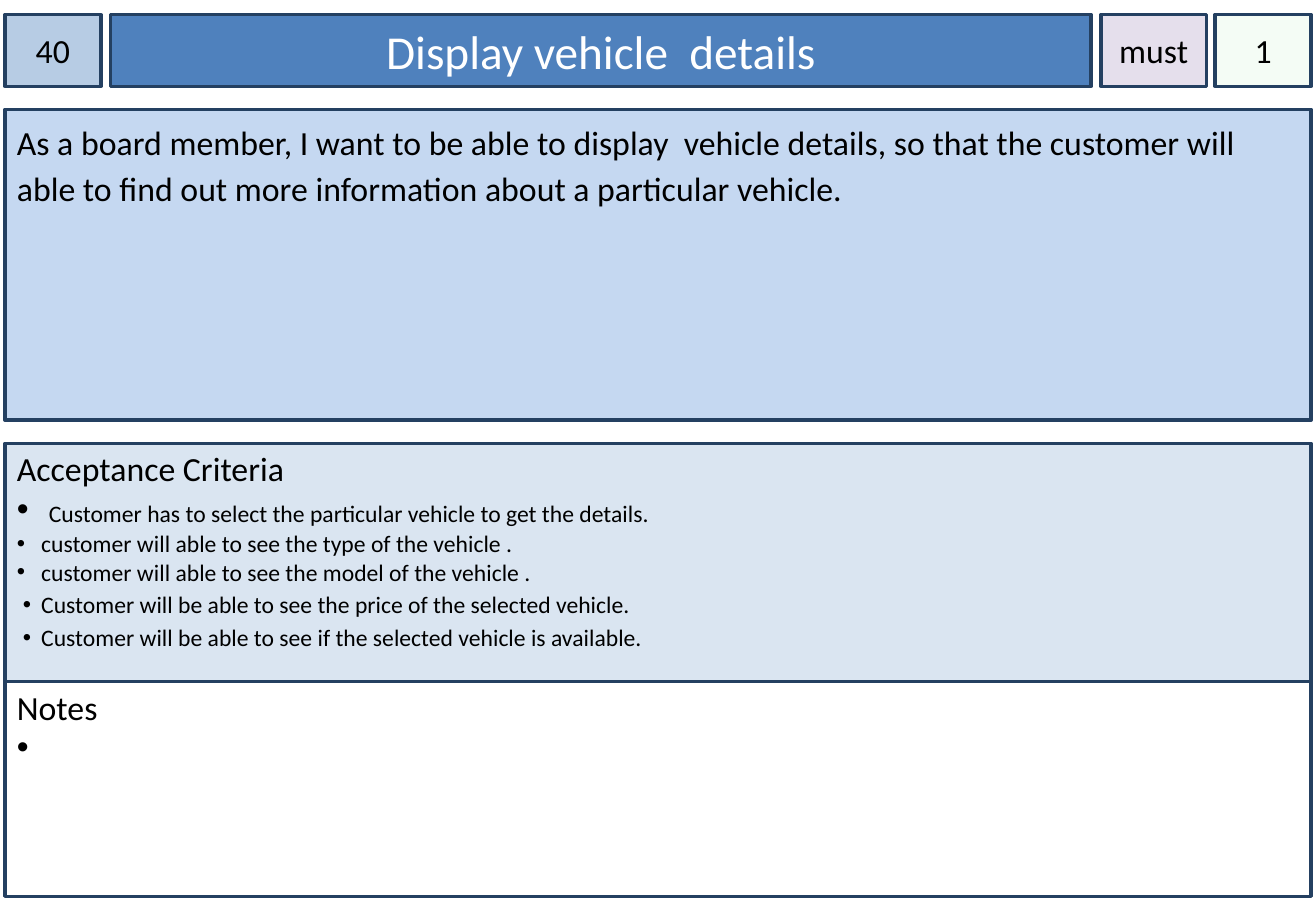
from dataclasses import dataclass
from typing import Optional

from lxml.etree import SubElement
from pptx import Presentation
from pptx.dml.color import RGBColor
from pptx.enum.shapes import MSO_SHAPE
from pptx.enum.text import MSO_ANCHOR, PP_ALIGN
from pptx.oxml.ns import qn
from pptx.util import Inches, Pt

FONT = "Calibri"
BLACK = RGBColor(0x00, 0x00, 0x00)
WHITE = RGBColor(0xFF, 0xFF, 0xFF)
NAVY = RGBColor(0x24, 0x40, 0x61)
ID_BLUE = RGBColor(0xB7, 0xCC, 0xE4)
TITLE_BLUE = RGBColor(0x4F, 0x81, 0xBD)
STORY_BLUE = RGBColor(0xC5, 0xD8, 0xF1)
CRITERIA_BLUE = RGBColor(0xDA, 0xE5, 0xF1)
PRIORITY_LILAC = RGBColor(0xE5, 0xDF, 0xEC)
ESTIMATE_GREEN = RGBColor(0xCC, 0xF0, 0xCD)

LEFT, FULL_WIDTH = 0.04, 10.75
HEADER_TOP, HEADER_HEIGHT = 0.12, 0.59
BULLET_INDENT = 0.2


@dataclass(frozen=True)
class Span:
    text: str
    size: int = 20
    color: RGBColor = BLACK


@dataclass(frozen=True)
class Para:
    spans: tuple[Span, ...]
    spacing: Optional[float] = None
    hanging: float = 0.0


@dataclass(frozen=True)
class Box:
    left: float
    top: float
    width: float
    height: float
    fill: RGBColor
    paras: tuple[Para, ...]
    centred: bool = False
    side_inset: float = 0.1
    top_inset: float = 0.05
    opacity: Optional[int] = None


def header_box(left: float, width: float, fill: RGBColor, span: Span,
               side_inset: float = 0.0, opacity: Optional[int] = None) -> Box:
    return Box(left, HEADER_TOP, width, HEADER_HEIGHT, fill, (Para((span,)),),
               centred=True, side_inset=side_inset, opacity=opacity)


def panel(top: float, height: float, fill: RGBColor, *paras: Para, top_inset: float = 0.04) -> Box:
    return Box(LEFT, top, FULL_WIDTH, height, fill, paras, top_inset=top_inset)


def bullet(*spans: Span, hanging: float = BULLET_INDENT, spacing: Optional[float] = None) -> Para:
    return Para(spans, spacing, hanging)


def criterion(text: str) -> Para:
    return bullet(Span(text, 14))


def spaced_criterion(text: str) -> Para:
    return bullet(Span(text, 14), hanging=0.15, spacing=1.15)


STORY = ("As a board member, I want to be able to display  vehicle details, so that the customer "
         "will able to find out more information about a particular vehicle.")

BOXES = (
    header_box(LEFT, 0.79, ID_BLUE, Span("40")),
    header_box(0.91, 8.07, TITLE_BLUE, Span("Display vehicle  details", 28, WHITE), side_inset=0.1),
    panel(0.9, 2.56, STORY_BLUE, Para((Span(STORY),), spacing=1.15), top_inset=0.05),
    panel(
        3.65, 2.01, CRITERIA_BLUE,
        Para((Span("Acceptance Criteria"),)),
        bullet(Span(" "),
               Span("Customer has to select the particular vehicle to get the details.", 14)),
        criterion("customer will able to see the type of the vehicle ."),
        criterion("customer will able to see the model of the vehicle ."),
        spaced_criterion("Customer will be able to see the price of the selected vehicle."),
        spaced_criterion("Customer will be able to see if the selected vehicle is available."),
    ),
    header_box(10, 0.79, ESTIMATE_GREEN, Span("1"), opacity=20),
    header_box(9.06, 0.87, PRIORITY_LILAC, Span("must")),
    panel(5.61, 1.77, WHITE, Para((Span("Notes"),)), bullet(Span(" "))),
)


def add_bullet(paragraph, hanging: float) -> None:
    properties = paragraph._p.get_or_add_pPr()
    properties.set("marL", str(Inches(BULLET_INDENT)))
    properties.set("indent", str(-Inches(hanging)))
    color = SubElement(properties, qn("a:buClr"))
    SubElement(color, qn("a:srgbClr"), val=str(BLACK))
    SubElement(properties, qn("a:buFont"), typeface="Arial")
    SubElement(properties, qn("a:buChar"), char="•")


def fill_paragraph(paragraph, para: Para, centred: bool) -> None:
    paragraph.alignment = PP_ALIGN.CENTER if centred else PP_ALIGN.LEFT
    if para.spacing:
        paragraph.line_spacing = para.spacing
    if para.hanging:
        add_bullet(paragraph, para.hanging)
    for span in para.spans:
        run = paragraph.add_run()
        run.text = span.text
        run.font.name = FONT
        run.font.size = Pt(span.size)
        run.font.color.rgb = span.color


def draw_box(page, box: Box) -> None:
    shape = page.shapes.add_shape(MSO_SHAPE.RECTANGLE, Inches(box.left), Inches(box.top),
                                  Inches(box.width), Inches(box.height))
    shape.shadow.inherit = False
    shape.fill.solid()
    shape.fill.fore_color.rgb = box.fill
    if box.opacity is not None:
        color = shape._element.spPr.find(qn("a:solidFill")).find(qn("a:srgbClr"))
        SubElement(color, qn("a:alpha"), val=str(box.opacity * 1000))
    shape.line.color.rgb = NAVY
    shape.line.width = Pt(2)

    frame = shape.text_frame
    frame.word_wrap = True
    frame.vertical_anchor = MSO_ANCHOR.MIDDLE if box.centred else MSO_ANCHOR.TOP
    frame.margin_left = frame.margin_right = Inches(box.side_inset)
    frame.margin_top = Inches(box.top_inset)
    frame.margin_bottom = Inches(0.05)
    for index, para in enumerate(box.paras):
        paragraph = frame.add_paragraph() if index else frame.paragraphs[0]
        fill_paragraph(paragraph, para, box.centred)


def main() -> None:
    deck = Presentation()
    deck.slide_width = Inches(10.83)
    deck.slide_height = Inches(7.5)
    page = deck.slides.add_slide(deck.slide_layouts[6])
    for box in BOXES:
        draw_box(page, box)
    deck.save("out.pptx")


if __name__ == "__main__":
    main()
